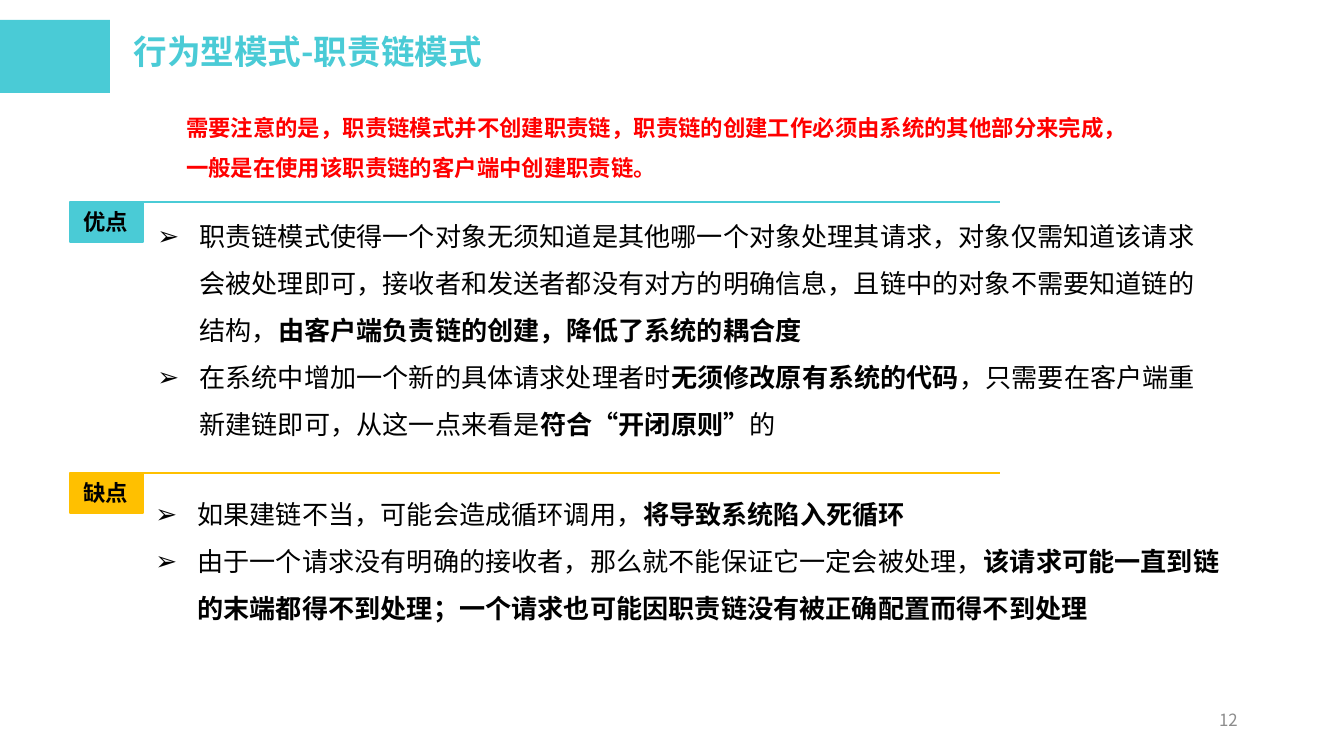
from lxml import etree
from pptx import Presentation
from pptx.dml.color import RGBColor
from pptx.enum.lang import MSO_LANGUAGE_ID as Language
from pptx.enum.shapes import MSO_CONNECTOR as Connector, MSO_SHAPE as Shape
from pptx.enum.text import MSO_ANCHOR as Anchor, MSO_AUTO_SIZE as AutoSize, PP_ALIGN as Align
from pptx.oxml.ns import qn
from pptx.util import Emu, Pt

FONT = "Noto Sans CJK SC"
TEAL, AMBER, BLACK, RED, GREY = "4ACBD6", "FFC000", "000000", "FF0000", "8C8C8C"
INDENT = 42


def px(length):
    return Emu(round(length * 914400 / 134.4))


def color(hex_code):
    return RGBColor.from_string(hex_code)


def place(shape, box):
    shape.left, shape.top, shape.width, shape.height = map(px, box)


def add_run(paragraph, text, size, hex_code, bold=False):
    run = paragraph.add_run()
    run.text = text
    font = run.font
    font.name, font.size, font.bold = FONT, Pt(size), bold
    font.language_id = Language.SIMPLIFIED_CHINESE
    font.color.rgb = color(hex_code)
    # Chinese characters take the East Asian typeface
    latin = font._element.find(qn("a:latin"))
    east_asian = etree.Element(qn("a:ea"), typeface=FONT)
    latin.addnext(east_asian)


def prepare_frame(shape, wrap=True, anchor=Anchor.TOP, fit=AutoSize.NONE):
    frame = shape.text_frame
    frame.word_wrap, frame.vertical_anchor, frame.auto_size = wrap, anchor, fit
    return frame


def add_block(slide, box, hex_code, outlined=False):
    block = slide.shapes.add_shape(Shape.RECTANGLE, *map(px, box))
    block.shadow.inherit = False
    block.fill.solid()
    block.fill.fore_color.rgb = color(hex_code)
    if outlined:
        block.line.color.rgb = color(hex_code)
        block.line.width = Pt(1)
    else:
        block.line.fill.background()
    return block


def add_section_header(slide, top, label, hex_code):
    tag = add_block(slide, (70, top, 73, 40), hex_code, outlined=True)
    paragraph = prepare_frame(tag, wrap=False, fit=AutoSize.SHAPE_TO_FIT_TEXT).paragraphs[0]
    paragraph.alignment = Align.LEFT
    add_run(paragraph, label, 12, BLACK, bold=True)
    rule = slide.shapes.add_connector(Connector.STRAIGHT, px(142), px(top), px(1000), px(top))
    rule.line.color.rgb = color(hex_code)
    rule.line.width = Pt(1.5)
    etree.SubElement(rule._element.spPr, qn("a:effectLst"))


def fill_title(title, box, text):
    place(title, box)
    paragraph = prepare_frame(title).paragraphs[0]
    paragraph.alignment = Align.LEFT
    paragraph.line_spacing = 0.8
    paragraph.space_before = Pt(7.5)
    add_run(paragraph, text, 18, TEAL, bold=True)


def fill_list(body, box, items):
    """Each item is a list of phrases that alternate regular and bold."""
    place(body, box)
    frame = prepare_frame(body, fit=AutoSize.SHAPE_TO_FIT_TEXT)
    for number, phrases in enumerate(items):
        paragraph = frame.add_paragraph() if number else frame.paragraphs[0]
        paragraph.alignment = Align.LEFT
        paragraph.line_spacing = 1.5
        paragraph.space_before = Pt(0)
        properties = paragraph._p.get_or_add_pPr()
        properties.set("marL", str(px(INDENT)))
        properties.set("indent", str(-px(INDENT)))
        etree.SubElement(properties, qn("a:buChar"), char="➢")
        for position, phrase in enumerate(phrases):
            add_run(paragraph, phrase, 14, BLACK, bold=position % 2 == 1)


def add_text(slide, box, text, size, hex_code, bold=False,
             align=Align.LEFT, anchor=Anchor.TOP, spacing=1.0):
    text_box = slide.shapes.add_textbox(*map(px, box))
    paragraph = prepare_frame(text_box, anchor=anchor).paragraphs[0]
    paragraph.alignment, paragraph.line_spacing = align, spacing
    add_run(paragraph, text, size, hex_code, bold)


def main():
    deck = Presentation()
    deck.slide_width, deck.slide_height = px(1344), px(756)
    slide = deck.slides.add_slide(deck.slide_layouts.get_by_name("Two Content"))
    title, advantages, drawbacks = slide.placeholders

    # Heading and note
    add_block(slide, (0, 20, 110, 73), TEAL)
    fill_title(title, (120, 32, 540, 62), "行为型模式-职责链模式")
    add_text(slide, (173, 94, 988, 75),
             "需要注意的是，职责链模式并不创建职责链，职责链的创建工作必须由系统的其他部分来完成，"
             "一般是在使用该职责链的客户端中创建职责链。", 12, RED, bold=True, spacing=1.5)

    # Advantages
    add_section_header(slide, 202, "优点", TEAL)
    fill_list(advantages, (144, 198, 1078, 251), [
        ["职责链模式使得一个对象无须知道是其他哪一个对象处理其请求，对象仅需知道该请求会被处理即可，"
         "接收者和发送者都没有对方的明确信息，且链中的对象不需要知道链的结构，",
         "由客户端负责链的创建，降低了系统的耦合度"],
        ["在系统中增加一个新的具体请求处理者时", "无须修改原有系统的代码",
         "，只需要在客户端重新建链即可，从这一点来看是", "符合“开闭原则”", "的"],
    ])

    # Drawbacks
    add_section_header(slide, 473, "缺点", AMBER)
    fill_list(drawbacks, (142, 476, 1098, 156), [
        ["如果建链不当，可能会造成循环调用，", "将导致系统陷入死循环"],
        ["由于一个请求没有明确的接收者，那么就不能保证它一定会被处理，",
         "该请求可能一直到链的末端都得不到处理；一个请求也可能因职责链没有被正确配置而得不到处理"],
    ])

    # Page number
    add_text(slide, (949, 700, 302, 40), "12", 9, GREY, align=Align.RIGHT, anchor=Anchor.MIDDLE)
    deck.save("out.pptx")


if __name__ == "__main__":
    main()
